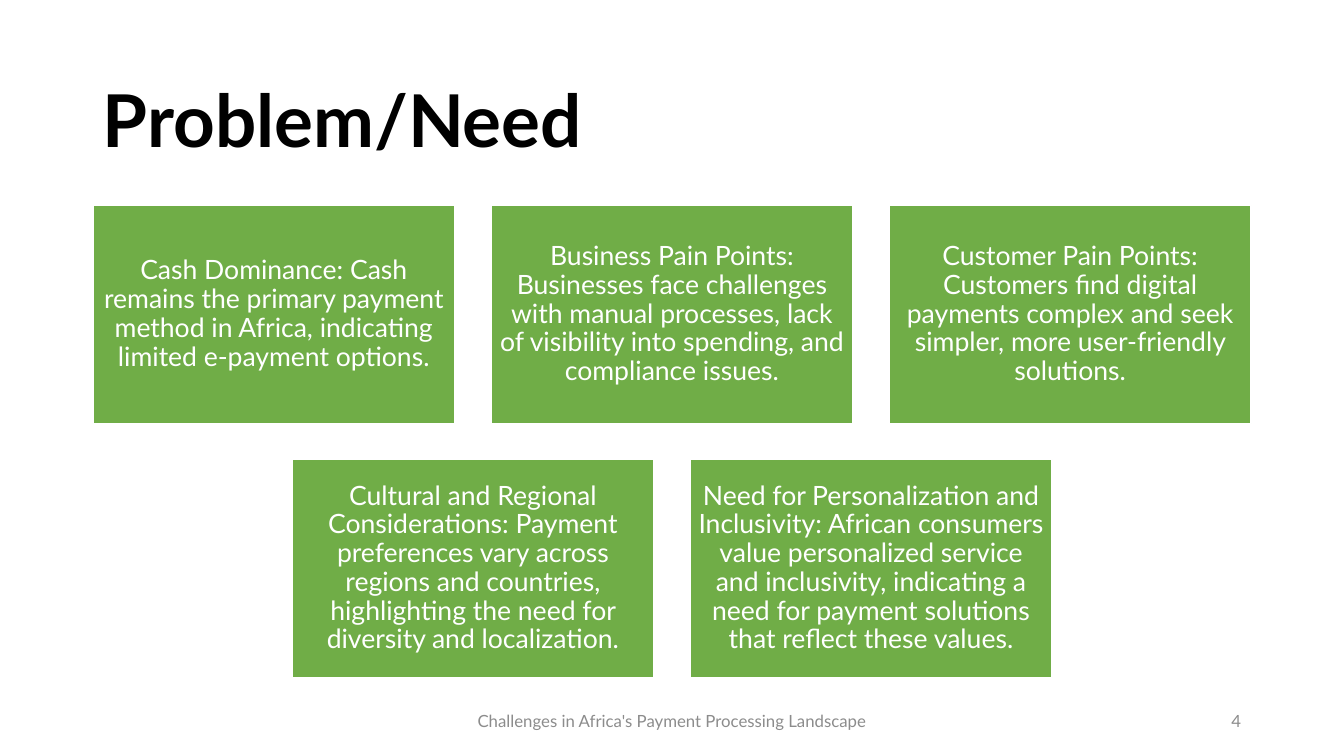
from pptx import Presentation
from pptx.dml.color import RGBColor
from pptx.enum.shapes import MSO_SHAPE
from pptx.enum.text import MSO_ANCHOR, PP_ALIGN
from pptx.util import Cm, Pt

RECTANGLE = MSO_SHAPE.RECTANGLE
MIDDLE = MSO_ANCHOR.MIDDLE
LEFT, CENTER, RIGHT = PP_ALIGN.LEFT, PP_ALIGN.CENTER, PP_ALIGN.RIGHT

BLACK = RGBColor(0x00, 0x00, 0x00)
WHITE = RGBColor(0xFF, 0xFF, 0xFF)
GREEN = RGBColor(0x70, 0xAD, 0x47)
GRAY = RGBColor(0x8C, 0x8C, 0x8C)
FONT = "Lato"

MARGIN = Cm(2.34)
CONTENT_WIDTH = Cm(29.19)
CARDS_PER_ROW = 3
CARD_GAP = Cm(0.91)
CARD_HEIGHT = Cm(5.49)
CARD_INSET = Cm(0.2)

PROBLEMS = [
    "Cash Dominance: Cash remains the primary payment method in Africa, "
    "indicating limited e-payment options.",
    "Business Pain Points: Businesses face challenges with manual processes, "
    "lack of visibility into spending, and compliance issues.",
    "Customer Pain Points: Customers find digital payments complex and seek "
    "simpler, more user-friendly solutions.",
    "Cultural and Regional Considerations: Payment preferences vary across "
    "regions and countries, highlighting the need for diversity and localization.",
    "Need for Personalization and Inclusivity: African consumers value "
    "personalized service and inclusivity, indicating a need for payment "
    "solutions that reflect these values.",
]


def write(shape, text, size, color, align, bold=False, line_spacing=1.0):
    frame = shape.text_frame
    frame.word_wrap = True
    frame.vertical_anchor = MIDDLE
    frame.text = text
    paragraph = frame.paragraphs[0]
    paragraph.alignment = align
    paragraph.line_spacing = line_spacing
    font = paragraph.runs[0].font
    font.name = FONT
    font.size = Pt(size)
    font.bold = bold
    font.color.rgb = color


def add_title(slide, left, top, width, height):
    title = slide.shapes.add_textbox(left, top, width, height)
    write(title, "Problem/Need", 52, BLACK, LEFT, bold=True, line_spacing=0.9)


def add_card(slide, text, left, top, width, height):
    card = slide.shapes.add_shape(RECTANGLE, left, top, width, height)
    card.shadow.inherit = False
    card.fill.solid()
    card.fill.fore_color.rgb = GREEN
    card.line.color.rgb = WHITE
    card.line.width = Pt(1)
    frame = card.text_frame
    frame.margin_left = frame.margin_right = CARD_INSET
    frame.margin_top = frame.margin_bottom = CARD_INSET
    write(card, text, 19, WHITE, CENTER, line_spacing=0.9)


def add_problem_cards(slide, left, top, width):
    """Fill rows of equal cards, centring a row that is not full."""
    card_width = (width - (CARDS_PER_ROW - 1) * CARD_GAP) // CARDS_PER_ROW
    pitch = card_width + CARD_GAP
    for start in range(0, len(PROBLEMS), CARDS_PER_ROW):
        row = PROBLEMS[start:start + CARDS_PER_ROW]
        row_left = left + (CARDS_PER_ROW - len(row)) * pitch // 2
        row_top = top + start // CARDS_PER_ROW * (CARD_HEIGHT + CARD_GAP)
        for column, problem in enumerate(row):
            add_card(slide, problem, row_left + column * pitch, row_top,
                     card_width, CARD_HEIGHT)


def add_footer(slide, left, top, width, height):
    caption_width, number_width = Cm(11.43), Cm(7.62)
    caption = slide.shapes.add_textbox(
        left + (width - caption_width) // 2, top, caption_width, height)
    write(caption, "Challenges in Africa's Payment Processing Landscape",
          12, GRAY, CENTER)
    number = slide.shapes.add_textbox(
        left + width - number_width, top, number_width, height)
    write(number, "4", 12, GRAY, RIGHT)


def main():
    presentation = Presentation()
    presentation.slide_width = Cm(33.87)
    presentation.slide_height = Cm(19.05)
    slide = presentation.slides.add_slide(presentation.slide_layouts[6])
    add_title(slide, MARGIN, Cm(1.55), CONTENT_WIDTH, Cm(3.15))
    add_footer(slide, MARGIN, Cm(17.65), CONTENT_WIDTH, Cm(1.02))
    add_problem_cards(slide, MARGIN, Cm(5.18), CONTENT_WIDTH)
    presentation.save("out.pptx")


if __name__ == "__main__":
    main()
